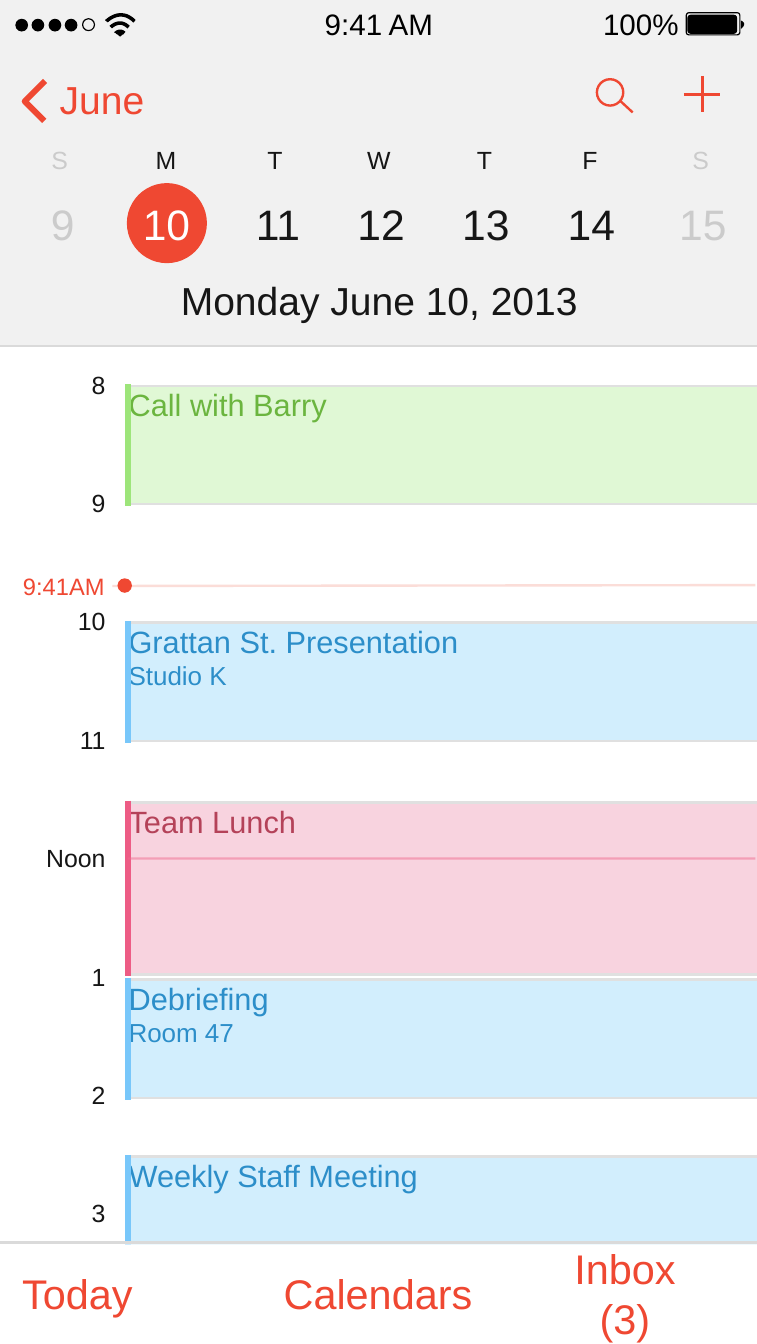
from lxml import etree
from pptx import Presentation
from pptx.dml.color import RGBColor
from pptx.enum.shapes import MSO_CONNECTOR, MSO_SHAPE
from pptx.enum.text import MSO_ANCHOR, MSO_AUTO_SIZE, PP_ALIGN
from pptx.oxml.ns import qn
from pptx.util import Pt

LEFT, CENTER, RIGHT = PP_ALIGN.LEFT, PP_ALIGN.CENTER, PP_ALIGN.RIGHT
TOP, MIDDLE = MSO_ANCHOR.TOP, MSO_ANCHOR.MIDDLE
NO_FIT, GROW = MSO_AUTO_SIZE.NONE, MSO_AUTO_SIZE.SHAPE_TO_FIT_TEXT
RECT, OVAL, ROUNDED = MSO_SHAPE.RECTANGLE, MSO_SHAPE.OVAL, MSO_SHAPE.ROUNDED_RECTANGLE
STRAIGHT = MSO_CONNECTOR.STRAIGHT

PX = 9144
WIDTH, HEIGHT = 889, 1578
RED, INK, MUTED, BLACK, WHITE = "EF4832", "161616", "CBCBCB", "000000", "FFFFFF"
RULE, EVENT_EDGE = "DADADA", "E0E0E0"
BLUE = ("D2EEFD", "78C7FA", "2C8EC9")
GREEN = ("E0F8D5", "9DE57A", "6BB53F")
PINK = ("F8D3DF", "ED5C85", "B44259")

DAYS = [
    ("S", 70, "9", 73, MUTED),
    ("M", 195, "10", 195, INK),
    ("T", 323, "11", 326, INK),
    ("W", 445, "12", 447, INK),
    ("T", 569, "13", 570, INK),
    ("F", 693, "14", 694, INK),
    ("S", 823, "15", 825, MUTED),
]
SELECTED_DAY = "10"
HOURS = ["8", "9", "10", "11", "Noon", "1", "2", "3"]
FIRST_HOUR_Y, HOUR_STEP = 451, 139
EVENTS = [
    (["Call with Barry"], 453, 139, GREEN),
    (["Grattan St. Presentation", "Studio K"], 731, 139, BLUE),
    (["Team Lunch"], 942, 202, PINK),
    (["Debriefing", "Room 47"], 1150, 139, BLUE),
    (["Weekly Staff Meeting"], 1358, 139, BLUE),
]
EVENT_LEFT = 151
TABS = [("Today", 22, 139, LEFT, False), ("Calendars", 329, 230, CENTER, False),
        ("Inbox (3)", 659, 150, CENTER, True)]
WIFI_ARCS = [(125, 158, 25, 8), (130, 151, 32, 21), (136, 146, 39, 34)]

deck = Presentation()
deck.slide_width, deck.slide_height = WIDTH * PX, HEIGHT * PX
slide = deck.slides.add_slide(deck.slide_layouts[5])
shapes = slide.shapes


def color(value):
    return RGBColor.from_string(value)


def fade(element, percent):
    for tone in element.iter(qn("a:srgbClr")):
        etree.SubElement(tone, qn("a:alpha"), val=str(percent * 1000))


def paint(shape, fill=None, line=None, weight=1):
    shape.shadow.inherit = False
    if fill:
        shape.fill.solid()
        shape.fill.fore_color.rgb = color(fill)
    else:
        shape.fill.background()
    if line:
        shape.line.color.rgb = color(line)
        shape.line.width = Pt(weight)
    else:
        shape.line.fill.background()
    return shape


def block(kind, x, y, w, h, **look):
    return paint(shapes.add_shape(kind, x * PX, y * PX, w * PX, h * PX), **look)


def rule(x1, y1, x2, y2, tone, weight=2):
    line = shapes.add_connector(STRAIGHT, x1 * PX, y1 * PX, x2 * PX, y2 * PX)
    line.line.color.rgb = color(tone)
    line.line.width = Pt(weight)
    etree.SubElement(line._element.spPr, qn("a:effectLst"))
    return line


def outline(points, close=False, **look):
    spots = [(round(x * PX), round(y * PX)) for x, y in points]
    builder = shapes.build_freeform(*spots[0])
    builder.add_line_segments(spots[1:], close=close)
    return paint(builder.convert_to_shape(), **look)


def curve(start, handle, end, steps=16):
    points = []
    for step in range(steps + 1):
        t = step / steps
        near, pull, far = (1 - t) ** 3 + 3 * t * (1 - t) ** 2, 3 * t * t * (1 - t), t ** 3
        points.append(tuple(near * a + pull * b + far * c for a, b, c in zip(start, handle, end)))
    return points


def write(holder, lines, sizes, tone, align=CENTER, anchor=MIDDLE, inset=4, wrap=False, fit=GROW):
    frame = holder.text_frame
    frame.word_wrap, frame.auto_size, frame.vertical_anchor = wrap, fit, anchor
    frame.margin_left = frame.margin_right = frame.margin_top = frame.margin_bottom = inset * PX
    for index, (line, size) in enumerate(zip(lines, sizes)):
        paragraph = frame.paragraphs[0] if index == 0 else frame.add_paragraph()
        paragraph.alignment = align
        run = paragraph.add_run()
        run.text = line
        run.font.name, run.font.size = "Arial", Pt(size)
        run.font.color.rgb = color(tone)


def label(text, x, y, w, h, size, tone, **layout):
    box = shapes.add_textbox(x * PX, y * PX, w * PX, h * PX)
    write(box, [text], [size], tone, **layout)


header = block(RECT, 0, -1, WIDTH, 408, fill="E5E5E5")
fade(header._element.spPr, 50)
date = shapes.title
shapes._spTree.append(date._element)
date.left, date.top, date.width, date.height = 206 * PX, 322 * PX, 479 * PX, 61 * PX
write(date, ["Monday June 10, 2013"], [33], INK, fit=NO_FIT)

label("June", 66, 86, 109, 61, 33, RED, align=LEFT)
outline([(53, 95), (29, 119), (52, 142)], line=RED, weight=5)

for dot in range(4):
    block(OVAL, 18 + 19 * dot + dot // 2, 22, 15, 15, fill=BLACK)
block(OVAL, 97, 22, 14, 14, line=BLACK)
for left, right, base, peak in WIFI_ARCS:
    outline(curve((left, base), ((left + right) / 2, peak), (right, base)), line=BLACK, weight=3)
outline([(146, 39), (141, 43), (135, 38)], close=True, fill=BLACK)
label("9:41 AM", 375, 3, 140, 49, 25, BLACK)
label("100%", 703, 3, 99, 49, 25, BLACK)
block(ROUNDED, 806, 15, 63, 26, line=BLACK).adjustments[0] = 0.12
block(ROUNDED, 808, 18, 57, 21, fill=BLACK, line=BLACK).adjustments[0] = 0.15
outline(curve((870, 34), (879, 28), (870, 24)), close=True, fill=BLACK)

rule(0, 406, WIDTH, 406, RULE)
block(OVAL, 701, 93, 31, 31, line=RED, weight=2)
rule(729, 119, 743, 132, RED)
rule(825, 89, 825, 132, RED)
rule(803, 111, 846, 111, RED)

for letter, letter_x, number, number_x, tone in DAYS:
    label(letter, letter_x - 18, 166, 36, 42, 21, tone)
    if number == SELECTED_DAY:
        block(OVAL, 149, 215, 94, 94, fill=RED)
        tone = WHITE
    label(number, number_x - 32, 229, 65, 67, 36, tone)

for index, hour in enumerate(HOURS):
    label(hour, 48, FIRST_HOUR_Y + HOUR_STEP * index - 21, 80, 42, 21, INK, align=RIGHT)

for lines, top, height, (fill, bar, tone) in EVENTS:
    event = block(RECT, EVENT_LEFT, top, 739, height, fill=fill, line=EVENT_EDGE, weight=2)
    write(event, lines, [26, 22], tone, align=LEFT, anchor=TOP, inset=0, wrap=True, fit=NO_FIT)
    rule(150, top - 2, 150, top + height + 2, bar, 5)
fade(rule(150, 1008, 887, 1008, "EF6A8F")._element.spPr, 50)

rule(132, 688, 887, 687, "FBDDD8")
block(OVAL, 138, 679, 17, 17, fill=RED)
label("9:41AM", 22, 667, 106, 41, 20, RED)

block(RECT, 0, 1461, WIDTH, 117, fill=WHITE)
for name, left, width, align, wrap in TABS:
    label(name, left, 1486, width, 64, 35, RED, align=align, wrap=wrap, fit=NO_FIT)
rule(0, 1459, WIDTH, 1459, RULE, 3)

deck.save("out.pptx")
